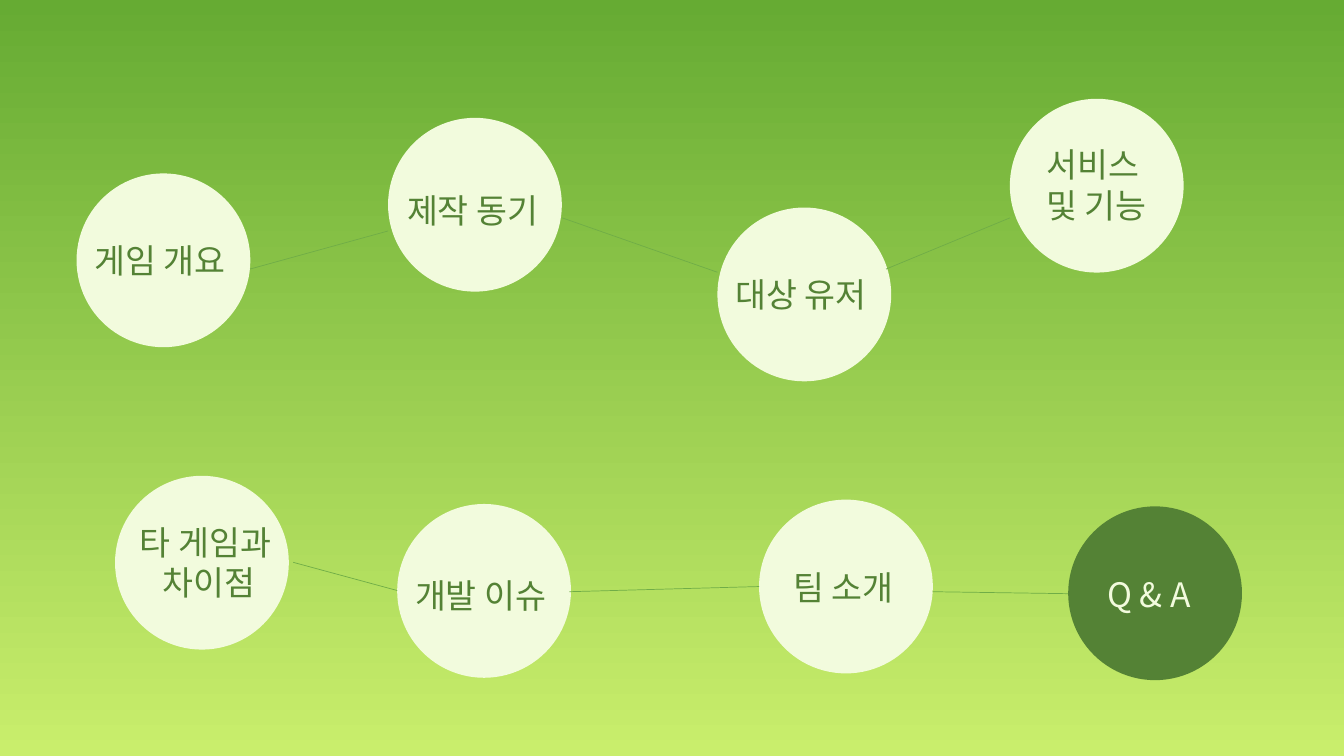
from lxml import etree
from pptx import Presentation
from pptx.dml.color import RGBColor
from pptx.enum.shapes import MSO_CONNECTOR, MSO_SHAPE
from pptx.enum.text import MSO_AUTO_SIZE, PP_ALIGN
from pptx.oxml.ns import qn
from pptx.util import Cm, Pt

OVAL, RECTANGLE = MSO_SHAPE.OVAL, MSO_SHAPE.RECTANGLE
STRAIGHT = MSO_CONNECTOR.STRAIGHT
LEFT, CENTER = PP_ALIGN.LEFT, PP_ALIGN.CENTER
FIT_SHAPE = MSO_AUTO_SIZE.SHAPE_TO_FIT_TEXT

FONT = "Noto Sans CJK KR"
COLORS = {
    "meadow": "C9EE6C",
    "leaf": "66AB33",
    "cream": "F2FBDD",
    "forest": "548235",
    "line": "70AD47",
}
WIDTH, HEIGHT = 33.87, 19.05
DIAMETER = 4.38
LABEL_HEIGHTS = {1: 1.28, 2: 2.31}

# lines, circle left and top, label left, top and width, circle and text colours
TOPICS = [
    (["게임 개요"], (1.93, 4.37), (2.13, 5.92, 3.96), "cream", "forest"),
    (["제작 동기"], (9.78, 2.97), (10.01, 4.67, 3.96), "cream", "forest"),
    (["대상 유저"], (18.08, 5.23), (18.29, 6.78, 3.96), "cream", "forest"),
    (["서비스 ", "및 기능"], (25.45, 2.49), (26.06, 3.51, 3.15), "cream", "forest"),
    (["타 게임과 ", "차이점"], (2.9, 11.99), (3.18, 13.03, 4.19), "cream", "forest"),
    (["개발 이슈"], (10.01, 12.7), (10.21, 14.35, 3.96), "cream", "forest"),
    (["팀 소개"], (19.13, 12.59), (19.74, 14.15, 3.15), "cream", "forest"),
    (["Q & A"], (26.92, 12.76), (27.66, 14.33, 2.92), "forest", "cream"),
]
LINKS = [
    (6.3, 6.78, 9.78, 5.82),
    (14.17, 5.49, 18.08, 6.86),
    (22.33, 6.78, 25.45, 5.49),
    (7.39, 14.17, 10.01, 14.88),
    (14.35, 14.91, 19.13, 14.78),
    (23.5, 14.91, 26.92, 14.96),
]


def color(name):
    return RGBColor.from_string(COLORS[name])


def add_plain_shape(slide, kind, left, top, width, height):
    shape = slide.shapes.add_shape(kind, Cm(left), Cm(top), Cm(width), Cm(height))
    shape.shadow.inherit = False
    shape.line.fill.background()
    return shape


def add_background(slide):
    shape = add_plain_shape(slide, RECTANGLE, 0, 0, WIDTH, HEIGHT)
    shape.fill.gradient()
    shape.fill.gradient_angle = 90
    for stop, name in zip(shape.fill.gradient_stops, ("meadow", "leaf")):
        stop.color.rgb = color(name)


def add_circle(slide, left, top, fill_name):
    shape = add_plain_shape(slide, OVAL, left, top, DIAMETER, DIAMETER)
    shape.fill.solid()
    shape.fill.fore_color.rgb = color(fill_name)


def add_label(slide, lines, left, top, width, text_name):
    height = LABEL_HEIGHTS[len(lines)]
    box = slide.shapes.add_textbox(Cm(left), Cm(top), Cm(width), Cm(height))
    frame = box.text_frame
    frame.word_wrap = False
    frame.auto_size = FIT_SHAPE
    for index, line in enumerate(lines):
        paragraph = frame.add_paragraph() if index else frame.paragraphs[0]
        paragraph.alignment = CENTER if len(lines) > 1 else LEFT
        run = paragraph.add_run()
        run.text = line
        run.font.size = Pt(24)
        run.font.color.rgb = color(text_name)
        run.font.name = FONT
        east_asian = etree.SubElement(run.font._element, qn("a:ea"))
        east_asian.set("typeface", FONT)


def add_link(slide, ends):
    connector = slide.shapes.add_connector(STRAIGHT, *[Cm(value) for value in ends])
    connector.line.color.rgb = color("line")
    connector.line.width = Pt(0.5)
    etree.SubElement(connector._element.spPr, qn("a:effectLst"))


def main():
    presentation = Presentation()
    presentation.slide_width, presentation.slide_height = Cm(WIDTH), Cm(HEIGHT)
    slide = presentation.slides.add_slide(presentation.slide_layouts[6])
    add_background(slide)
    for lines, circle, label, fill_name, text_name in TOPICS:
        add_circle(slide, *circle, fill_name)
        add_label(slide, lines, *label, text_name)
    for ends in LINKS:
        add_link(slide, ends)
    presentation.save("out.pptx")


if __name__ == "__main__":
    main()
